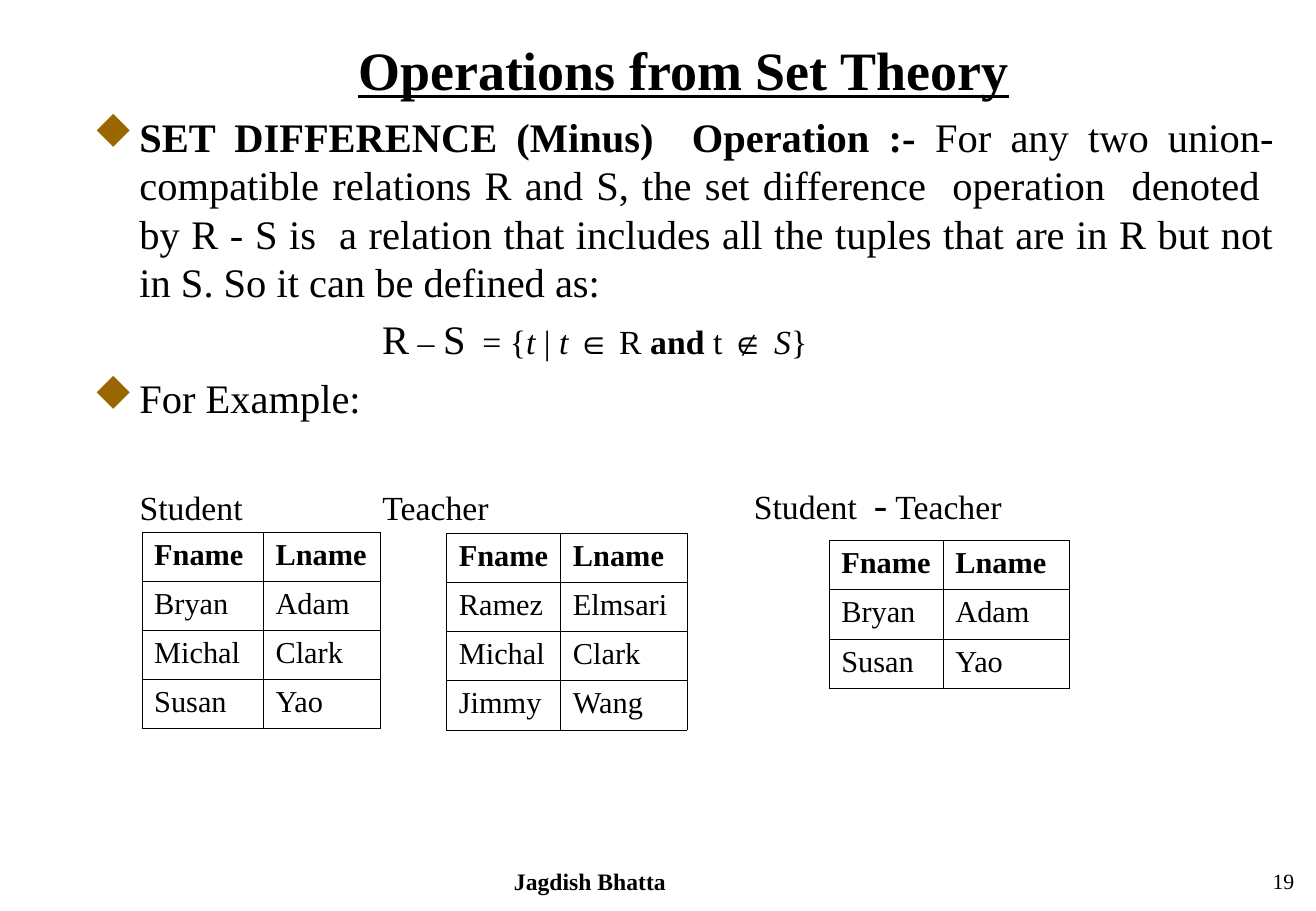
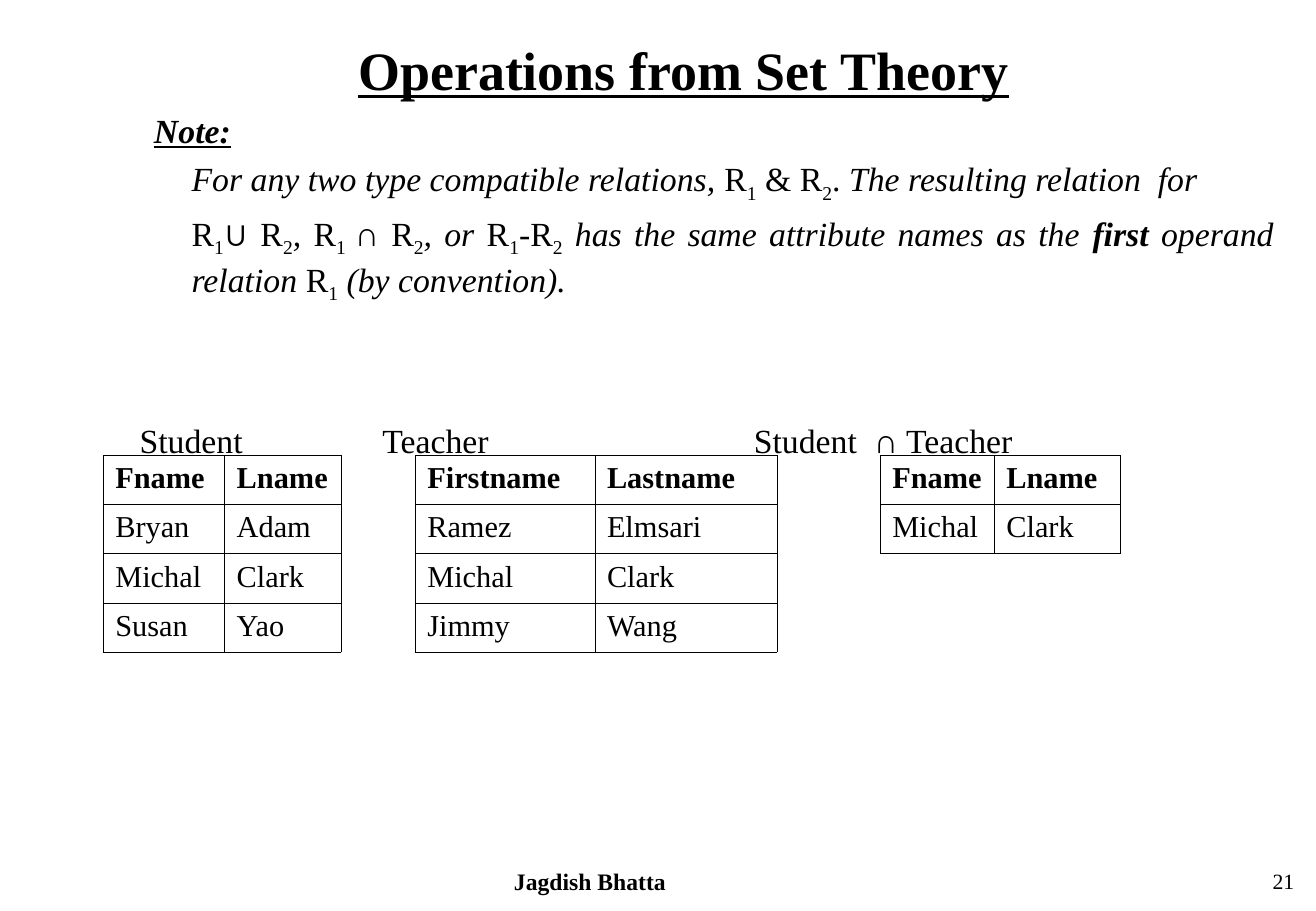
from lxml import etree
from pptx import Presentation
from pptx import util as u
from pptx.dml.color import RGBColor
from pptx.enum import text
from pptx.oxml import ns

BLACK = RGBColor(0x00, 0x00, 0x00)
BULLET_BROWN = RGBColor(0x99, 0x66, 0x00)
SERIF, SANS = "Times New Roman", "Arial"
BULLET_FONT, BULLET_DIAMOND = "Wingdings", "u"
TITLE = "Operations from Set Theory"
AUTHOR = "Jagdish Bhatta"
LEFT, WIDTH = 0.67, 9.92
ROW_HEIGHT = 0.405
CAPTION_LEFTS = (1.15, 3.15, 6.21)
CENTER, RIGHT, JUSTIFY = text.PP_ALIGN.CENTER, text.PP_ALIGN.RIGHT, text.PP_ALIGN.JUSTIFY

# Runs are (text, flags, size); flags: b bold, i italic, u underline, s subscript, a sans
# Paragraphs are (left indent, space before, bulleted, alignment, runs)
DIFFERENCE_BODY = [
    (0.38, 0, True, JUSTIFY, [
        ("SET DIFFERENCE (Minus)  Operation :- ", "b", 24),
        ("For any two union-compatible relations R and S, the set difference  operation  "
         "denoted  by R - S is  a relation that includes all the tuples that are in R but "
         "not in S. So it can be defined as:", "", 24)]),
    (2.38, 5, False, JUSTIFY, [
        ("R", "", 24), (" – ", "i", 20), ("S", "", 24), ("  = {", "", 20), ("t", "i", 20),
        (" | ", "", 20), ("t ", "i", 20), ("∈", "a", 20), (" R ", "", 20), ("and", "b", 20),
        (" t ", "", 20), ("∉ ", "a", 20), ("S", "i", 20), ("}", "", 20)]),
    (0.38, 6, True, None, [("For Example:", "", 24)]),
]
NOTE_BODY = [
    (0.5, 0, False, None, [("Note:", "biu", 20)]),
    (0.81, 5, False, JUSTIFY, [
        ("For any two type compatible relations, ", "i", 20), ("R", "", 20), ("1", "s", 20),
        (" & R", "", 20), ("2", "s", 20), (". ", "", 20),
        ("The resulting relation  for", "i", 20)]),
    (0.81, 5, False, JUSTIFY, [
        ("R", "", 20), ("1", "s", 20), ("∪", "a", 20), (" R", "", 20), ("2", "s", 20),
        (", ", "i", 20), ("R", "", 20), ("1 ", "s", 20), ("∩", "a", 20), (" R", "", 20),
        ("2", "s", 20), (", or ", "i", 20), ("R", "", 20), ("1", "s", 20), ("-R", "", 20),
        ("2", "s", 20), (" has the same attribute names as the ", "i", 20),
        ("first", "bi", 20), (" operand relation ", "i", 20), ("R", "", 20),
        ("1", "s", 20), (" (by convention).", "i", 20)]),
]

# Relations shown in the tables
HEADINGS = ("Fname", "Lname")
BRYAN, MICHAL, SUSAN = ("Bryan", "Adam"), ("Michal", "Clark"), ("Susan", "Yao")
STUDENTS = (HEADINGS, BRYAN, MICHAL, SUSAN)
TEACHERS = (("Ramez", "Elmsari"), MICHAL, ("Jimmy", "Wang"))
STUDENT_COLUMNS, NARROW_COLUMNS, WIDE_COLUMNS = (1, 0.96), (0.94, 1.04), (1.48, 1.5)

# Tables are (left, top, column widths, rows)
SLIDES = [
    {"number": "19", "body_top": 0.92, "body": DIFFERENCE_BODY,
     "caption_top": 3.94, "operator": ("-", "", 24),
     "tables": [
         (1.17, 4.38, STUDENT_COLUMNS, STUDENTS),
         (3.68, 4.39, NARROW_COLUMNS, (HEADINGS, *TEACHERS)),
         (6.83, 4.45, NARROW_COLUMNS, (HEADINGS, BRYAN, SUSAN))]},
    {"number": "21", "body_top": 0.9, "body": NOTE_BODY,
     "caption_top": 3.39, "operator": ("∩", "a", 20),
     "tables": [
         (0.85, 3.75, STUDENT_COLUMNS, STUDENTS),
         (3.42, 3.75, WIDE_COLUMNS, (("Firstname", "Lastname"), *TEACHERS)),
         (7.25, 3.75, NARROW_COLUMNS, (HEADINGS, MICHAL))]},
]


def add_text_box(slide, left, top, width, height, side_margin=0.1):
    frame = slide.shapes.add_textbox(
        u.Inches(left), u.Inches(top), u.Inches(width), u.Inches(height)).text_frame
    frame.word_wrap = True
    frame.margin_top = frame.margin_bottom = 0
    frame.margin_left = frame.margin_right = u.Inches(side_margin)
    return frame


def add_runs(paragraph, runs):
    paragraph.font.color.rgb = BLACK
    for words, flags, size in runs:
        run = paragraph.add_run()
        run.text = words
        run.font.name = SANS if "a" in flags else SERIF
        run.font.size = u.Pt(size)
        run.font.bold = "b" in flags
        run.font.italic = "i" in flags
        run.font.underline = "u" in flags
        run.font.color.rgb = BLACK
        if "s" in flags:
            run.font._element.set("baseline", "-25000")


presentation = Presentation()
presentation.slide_width = u.Inches(10.84)
presentation.slide_height = u.Inches(7.5)

for content in SLIDES:
    slide = presentation.slides.add_slide(presentation.slide_layouts[5])

    # Title
    title = slide.shapes.title
    title.left, title.top = u.Inches(LEFT), u.Inches(0.3)
    title.width, title.height = u.Inches(WIDTH), u.Inches(0.55)
    frame = title.text_frame
    frame.auto_size = text.MSO_AUTO_SIZE.NONE
    frame.vertical_anchor = text.MSO_ANCHOR.TOP
    frame.margin_top = frame.margin_bottom = 0
    frame.paragraphs[0].alignment = CENTER
    add_runs(frame.paragraphs[0], [(TITLE, "bu", 32)])

    # Footer
    for left, width, alignment, run in (
            (2.83, 4.06, CENTER, (AUTHOR, "b", 14)),
            (8.5, 2.26, RIGHT, (content["number"], "", 12.9))):
        paragraph = add_text_box(slide, left, 7.14, width, 0.27).paragraphs[0]
        paragraph.alignment = alignment
        add_runs(paragraph, [run])

    # Body
    frame = add_text_box(slide, LEFT, content["body_top"], WIDTH, 2.7)
    for index, (indent, space, bulleted, alignment, runs) in enumerate(content["body"]):
        paragraph = frame.add_paragraph() if index else frame.paragraphs[0]
        paragraph.alignment = alignment
        paragraph.space_before = u.Pt(space)
        properties = paragraph._p.get_or_add_pPr()
        properties.set("marL", str(u.Inches(indent)))
        properties.set("indent", str(-u.Inches(indent) if bulleted else 0))
        if bulleted:
            color = etree.SubElement(properties, ns.qn("a:buClr"))
            etree.SubElement(color, ns.qn("a:srgbClr"), val=str(BULLET_BROWN))
            etree.SubElement(properties, ns.qn("a:buFont"), typeface=BULLET_FONT, charset="2")
            etree.SubElement(properties, ns.qn("a:buChar"), char=BULLET_DIAMOND)
        add_runs(paragraph, runs)

    # Table captions
    captions = (
        [("Student", "", 20)],
        [("Teacher", "", 20)],
        [("Student  ", "", 20), content["operator"], (" Teacher", "", 20)])
    for left, runs in zip(CAPTION_LEFTS, captions):
        frame = add_text_box(slide, left, content["caption_top"], 2.5, 0.4, side_margin=0)
        frame.vertical_anchor = text.MSO_ANCHOR.BOTTOM
        add_runs(frame.paragraphs[0], runs)

    # Tables
    for left, top, widths, rows in content["tables"]:
        table = slide.shapes.add_table(
            len(rows), len(widths), u.Inches(left), u.Inches(top),
            u.Inches(sum(widths)), u.Inches(ROW_HEIGHT * len(rows))).table
        table.first_row = table.horz_banding = False
        for column, width in zip(table.columns, widths):
            column.width = u.Inches(width)
        for row_index, values in enumerate(rows):
            table.rows[row_index].height = u.Inches(ROW_HEIGHT)
            for column_index, value in enumerate(values):
                cell = table.cell(row_index, column_index)
                cell.margin_right = u.Inches(0.05)
                properties = cell._tc.get_or_add_tcPr()
                for side in ("lnL", "lnR", "lnT", "lnB"):
                    border = etree.SubElement(
                        properties, ns.qn(f"a:{side}"), w=str(u.Pt(0.45)))
                    fill = etree.SubElement(border, ns.qn("a:solidFill"))
                    etree.SubElement(fill, ns.qn("a:srgbClr"), val=str(BLACK))
                cell.fill.background()
                add_runs(cell.text_frame.paragraphs[0],
                         [(value, "" if row_index else "b", 18)])

presentation.save("out.pptx")
